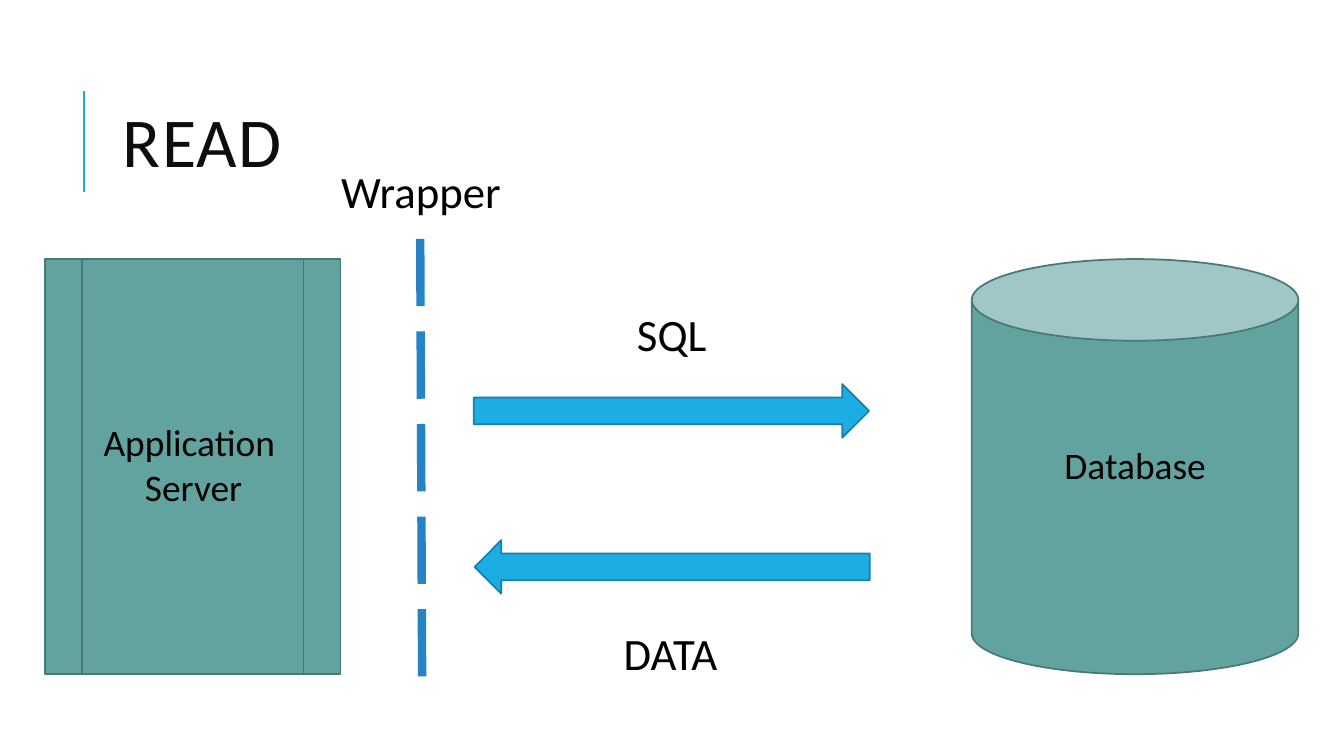
import pptx
import pptx.util
import pptx.dml.color
import pptx.enum.dml
import pptx.enum.shapes
import pptx.enum.text
import pptx.oxml

Cm = pptx.util.Cm
Pt = pptx.util.Pt
SHAPE = pptx.enum.shapes.MSO_SHAPE
FONT = "Calibri"

HEADING = "READ"
NODES = [
    (SHAPE.CAN, 24.49, 8.23),
    (SHAPE.FLOWCHART_PREDEFINED_PROCESS, 1.14, 7.44),
]
NODE_TOP, NODE_HEIGHT = 6.53, 10.46
FLOWS = [(11.94, 9.68, 0), (11.96, 13.61, 180)]
FLOW_WIDTH, FLOW_HEIGHT = 9.96, 1.35
NODE_LABELS = [
    (["Application ", "Server"], 2.34, 10.44, 5.08, 2.54),
    (["Database"], 26.49, 11.02, 4.24, 1.4),
]
FLOW_LABELS = [("SQL", 13.03, 6.93), ("DATA", 13, 14.96), ("Wrapper", 6.71, 3.33)]
FLOW_LABEL_WIDTH, FLOW_LABEL_HEIGHT = 7.8, 2.31
RULES = [
    ((2.11, 4.83), (2.11, 2.29), "1CADE4", 1.5, None),
    ((10.59, 6.02), (10.64, 17.5), "2683C6", 6, pptx.enum.dml.MSO_LINE.LONG_DASH),
]


def color(value):
    return pptx.dml.color.RGBColor.from_string(value)


def format_paragraph(paragraph, size, text_color, alignment, spacing):
    paragraph.font.name = FONT
    paragraph.font.size = Pt(size)
    paragraph.font.color.rgb = color(text_color)
    paragraph.alignment = alignment
    paragraph.line_spacing = spacing


def add_block(slide, kind, left, top, width, height, fill, outline):
    block = slide.shapes.add_shape(kind, Cm(left), Cm(top), Cm(width), Cm(height))
    block.shadow.inherit = False
    block.fill.solid()
    block.fill.fore_color.rgb = color(fill)
    block.line.color.rgb = color(outline)
    block.line.width = Pt(1.25)
    return block


def add_label(slide, lines, left, top, width, height, size, spacing, wrap):
    label = slide.shapes.add_textbox(Cm(left), Cm(top), Cm(width), Cm(height))
    frame = label.text_frame
    frame.word_wrap = wrap
    frame.auto_size = pptx.enum.text.MSO_AUTO_SIZE.SHAPE_TO_FIT_TEXT
    frame.text = "\n".join(lines)
    for paragraph in frame.paragraphs:
        format_paragraph(paragraph, size, "000000", pptx.enum.text.PP_ALIGN.CENTER, spacing)


def add_rule(slide, start, end, line_color, width, dash):
    rule = slide.shapes.add_connector(
        pptx.enum.shapes.MSO_CONNECTOR.STRAIGHT,
        Cm(start[0]), Cm(start[1]), Cm(end[0]), Cm(end[1]))
    rule.line.color.rgb = color(line_color)
    rule.line.width = Pt(width)
    if dash:
        rule.line.dash_style = dash
    rule._element.spPr.append(pptx.oxml.parse_xml(
        '<a:effectLst xmlns:a="http://schemas.openxmlformats.org/drawingml/2006/main"/>'))


def add_heading(slide):
    heading = slide.shapes.title
    heading.left, heading.top = Cm(2.84), Cm(1.63)
    heading.width, heading.height = Cm(27), Cm(4.17)
    frame = heading.text_frame
    frame.text = HEADING
    frame.vertical_anchor = pptx.enum.text.MSO_ANCHOR.MIDDLE
    paragraph = frame.paragraphs[0]
    format_paragraph(paragraph, 50, "0D0D0D", pptx.enum.text.PP_ALIGN.LEFT, 0.8)
    paragraph.runs[0]._r.get_or_add_rPr().set("spc", "100")


def main():
    deck = pptx.Presentation()
    deck.slide_width, deck.slide_height = Cm(33.87), Cm(19.05)
    slide = deck.slides.add_slide(deck.slide_layouts[5])
    add_heading(slide)
    for kind, left, width in NODES:
        add_block(slide, kind, left, NODE_TOP, width, NODE_HEIGHT, "62A39F", "497976")
    for lines, left, top, width, height in NODE_LABELS:
        add_label(slide, lines, left, top, width, height, 26.7, 1.0, False)
    for left, top, rotation in FLOWS:
        flow = add_block(slide, SHAPE.RIGHT_ARROW, left, top,
                         FLOW_WIDTH, FLOW_HEIGHT, "1CADE4", "1580A9")
        flow.rotation = rotation
    for rule in RULES:
        add_rule(slide, *rule)
    for text, left, top in FLOW_LABELS:
        add_label(slide, [text], left, top, FLOW_LABEL_WIDTH, FLOW_LABEL_HEIGHT, 32, 1.5, True)
    deck.save("out.pptx")


if __name__ == "__main__":
    main()
